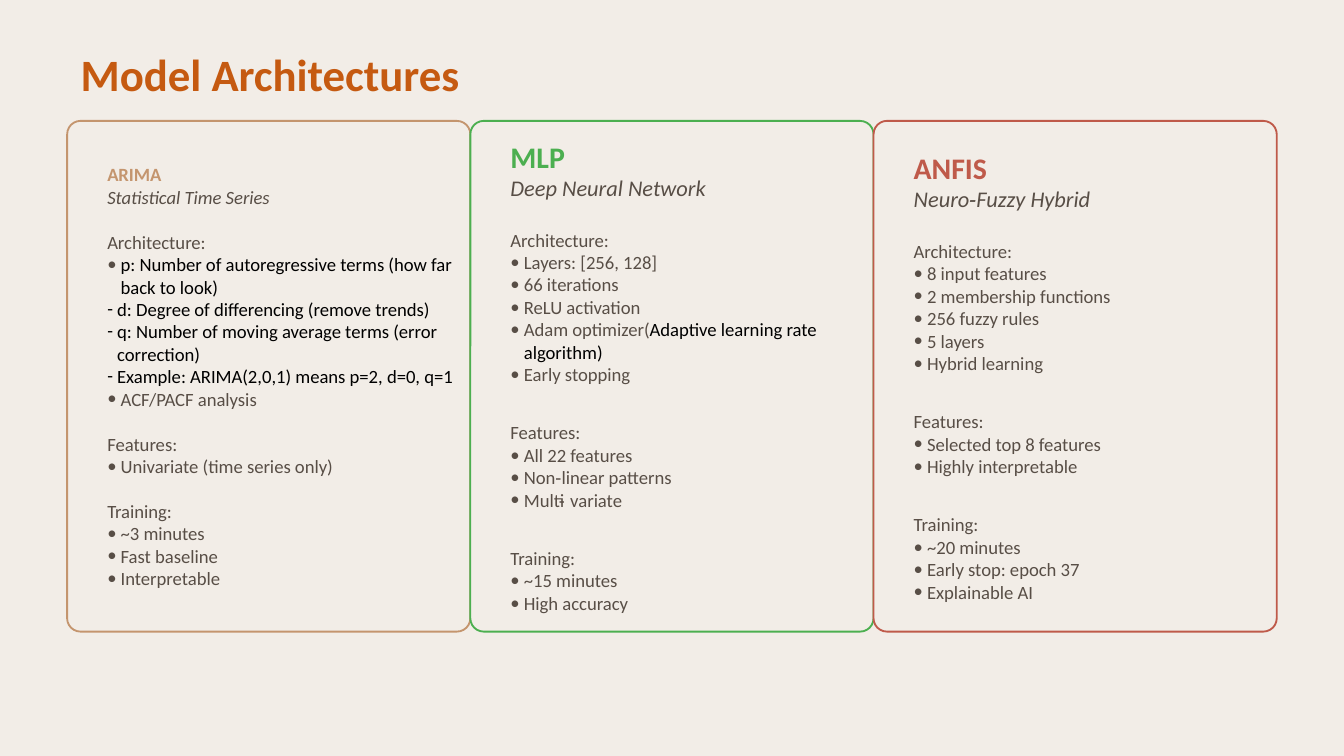
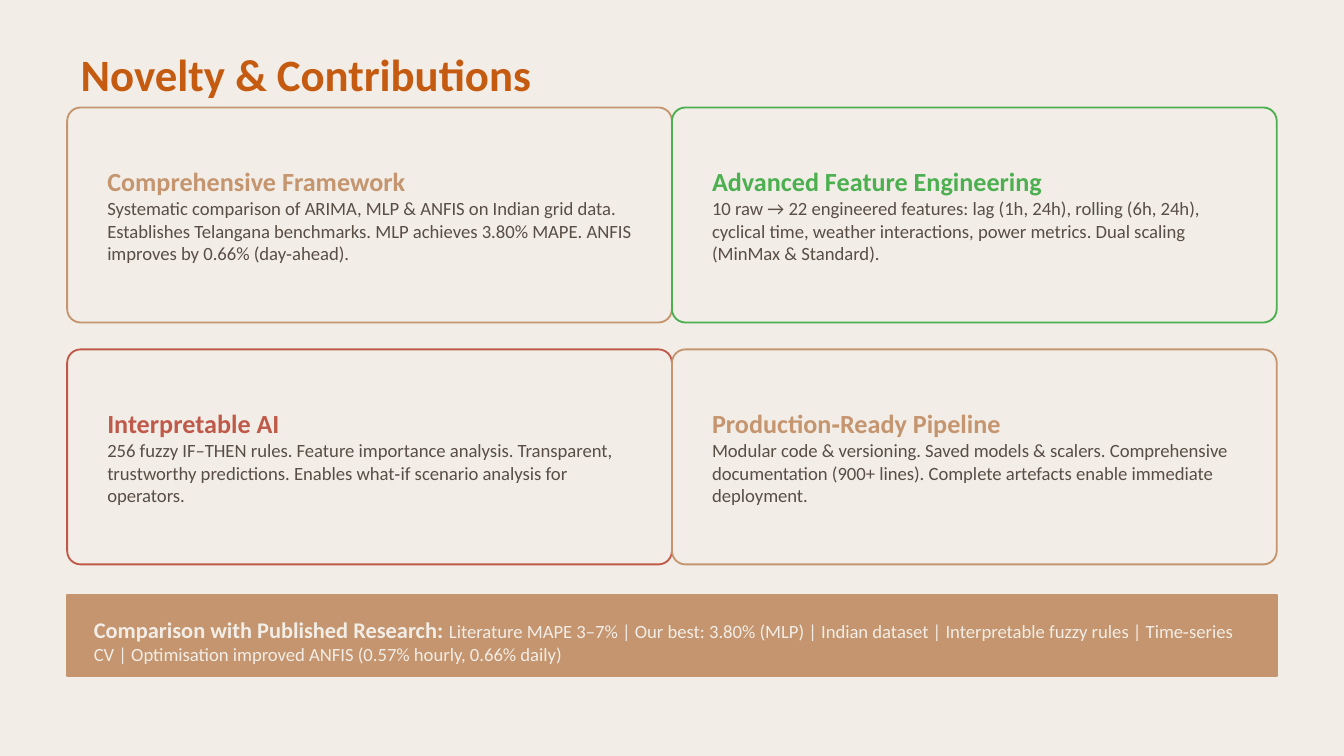
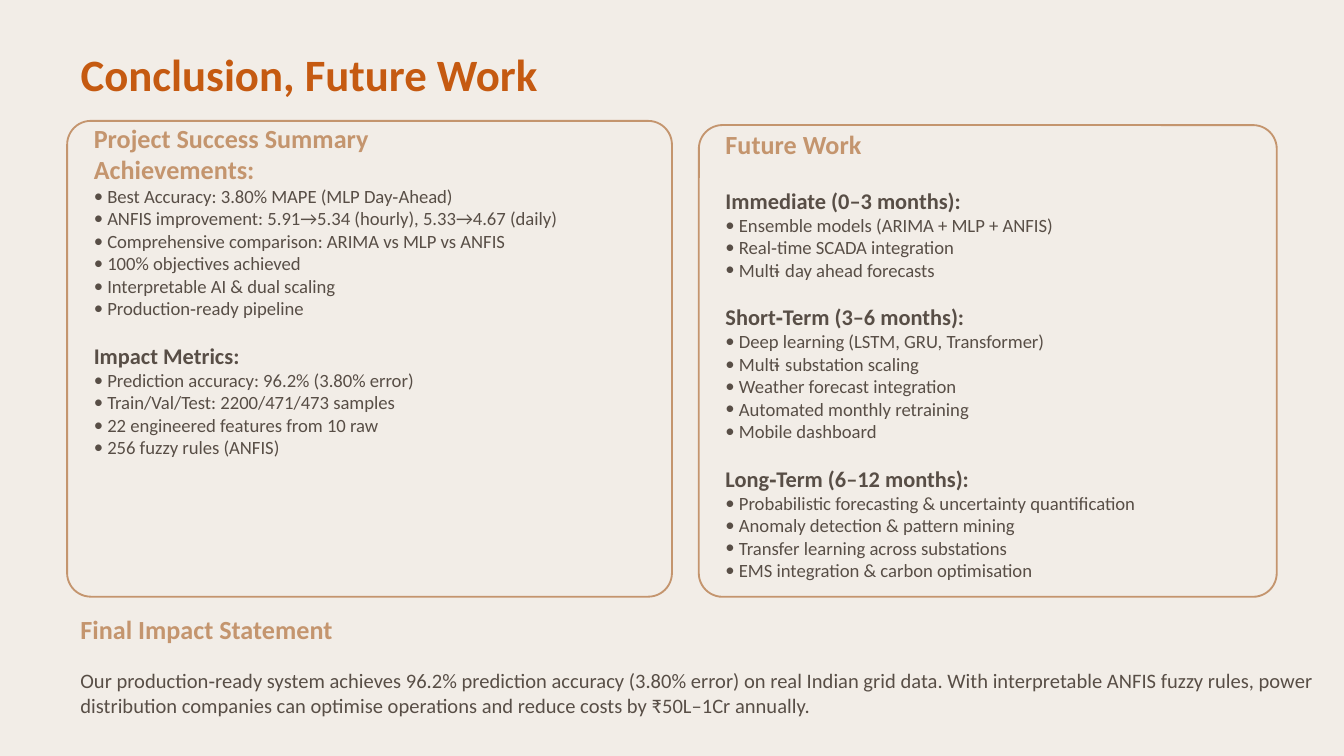
from lxml.etree import SubElement
from pptx import Presentation
from pptx.dml.color import RGBColor
from pptx.enum.shapes import MSO_SHAPE
from pptx.enum.text import MSO_ANCHOR, MSO_AUTO_SIZE, PP_ALIGN
from pptx.oxml.ns import qn
from pptx.util import Pt

# Shared style
PAPER = RGBColor(0xF2, 0xED, 0xE7)
RUST = RGBColor(0xC5, 0x5A, 0x11)
TAN = RGBColor(0xC4, 0x95, 0x6E)
GREEN = RGBColor(0x4C, 0xAF, 0x50)
RED = RGBColor(0xBF, 0x5A, 0x4A)
INK = RGBColor(0x58, 0x4E, 0x46)
BLACK = RGBColor(0, 0, 0)
FONT = "Calibri"
MARKS = {"•": (7.2, INK), "-": (5.3, BLACK)}  # hanging indent, colour
LEFT = 36


def bullet(para, mark):
    indent, color = MARKS[mark]
    props = para._p.get_or_add_pPr()
    props.set("marL", str(Pt(indent)))
    props.set("indent", str(-Pt(indent)))
    tint = SubElement(props, qn("a:buClr"))
    SubElement(tint, qn("a:srgbClr"), val=str(color))
    SubElement(props, qn("a:buFont"), typeface=FONT)
    SubElement(props, qn("a:buChar"), char=mark)


def put(frame, text, size=10, color=INK, bold=False, italic=False,
        gap=0, mark="", join=False):
    """Add a paragraph, or with join a run to the last paragraph."""
    para = frame.paragraphs[-1]
    if para.runs and not join:
        para = frame.add_paragraph()
    if not join:
        para.alignment = PP_ALIGN.LEFT
        if mark:
            bullet(para, mark)
        if gap:
            para.space_before = Pt(gap)
    run = para.add_run()
    run.text = text
    font = run.font
    font.name, font.size, font.color.rgb = FONT, Pt(size), color
    font.bold, font.italic = bold, italic


def line(text, **form):
    return text, form


def head(text, size=14, color=TAN, **form):
    return line(text, size=size, color=color, bold=True, **form)


def points(*texts):
    return [line(text, mark="•") for text in texts]


def part(title, *texts, **form):
    return [line(title, **form), *points(*texts)]


class Deck:
    def __init__(self):
        self.show = Presentation()
        self.show.slide_width, self.show.slide_height = Pt(720), Pt(405)
        fill = self.show.slide_master.background.fill
        fill.solid()
        fill.fore_color.rgb = PAPER
        self.slide = None

    def page(self, title):
        self.slide = self.show.slides.add_slide(self.show.slide_layouts[5])
        shape = self.slide.shapes.title
        shape.left, shape.top = Pt(LEFT), Pt(21.6)
        shape.width, shape.height = Pt(648), Pt(36)
        self.fill(shape, [head(title, 24, RUST)])

    def fill(self, shape, lines):
        frame = shape.text_frame
        frame.word_wrap = True
        frame.auto_size = MSO_AUTO_SIZE.NONE
        frame.vertical_anchor = MSO_ANCHOR.MIDDLE
        for text, form in lines:
            put(frame, text, **form)

    def text(self, x, y, w, h, lines):
        box = self.slide.shapes.add_textbox(Pt(x), Pt(y), Pt(w), Pt(h))
        self.fill(box, lines)

    def panel(self, x, y, w, h, edge, fill=PAPER, round=7.2):
        kind = MSO_SHAPE.ROUNDED_RECTANGLE if round else MSO_SHAPE.RECTANGLE
        shape = self.slide.shapes.add_shape(kind, Pt(x), Pt(y), Pt(w), Pt(h))
        if round:
            shape.adjustments[0] = round / min(w, h)
        shape.shadow.inherit = False
        shape.fill.solid()
        shape.fill.fore_color.rgb = fill
        shape.line.color.rgb = edge
        shape.line.width = Pt(1)


def models(deck):
    deck.page("Model Architectures")
    # name, kind, colour, name size, kind size, gaps, text width, body
    cards = [
        ("ARIMA", "Statistical Time Series", TAN, 10, 10, 12, 12, 201.6, [
            line("p: Number of autoregressive terms (how far back to look)",
                 color=BLACK, mark="•"),
            *[line(text, color=BLACK, mark="-") for text in (
                "d: Degree of differencing (remove trends)",
                "q: Number of moving average terms (error correction)",
                "Example: ARIMA(2,0,1) means p=2, d=0, q=1")],
            *points("ACF/PACF analysis")],
         ["Univariate (time series only)"],
         ["~3 minutes", "Fast baseline", "Interpretable"]),
        ("MLP", "Deep Neural Network", GREEN, 16, 12, 14.6, 19.2, 187.2, [
            *points("Layers: [256, 128]", "66 iterations",
                    "ReLU activation", "Adam optimizer("),
            line("Adaptive learning rate algorithm)", color=BLACK, join=True),
            *points("Early stopping")],
         ["All 22 features", "Non‑linear patterns", "Multi‑variate"],
         ["~15 minutes", "High accuracy"]),
        ("ANFIS", "Neuro‑Fuzzy Hybrid", RED, 16, 12, 14.6, 19.2, 187.2,
         points("8 input features", "2 membership functions",
                "256 fuzzy rules", "5 layers", "Hybrid learning"),
         ["Selected top 8 features", "Highly interpretable"],
         ["~20 minutes", "Early stop: epoch 37", "Explainable AI"]),
    ]
    for col, card in enumerate(cards):
        name, kind, color, big, mid, first, gap, wide, build, feats, train = card
        x = LEFT + 216 * col
        deck.panel(x, 64.8, 216, 273.6, color)
        deck.text(x + 14.4, 72, wide, 259.2, [
            head(name, big, color),
            line(kind, size=mid, italic=True),
            line("Architecture:", gap=first), *build,
            *part("Features:", *feats, gap=gap),
            *part("Training:", *train, gap=gap)])


def novelty(deck):
    deck.page("Novelty & Contributions")
    cards = [
        ("Comprehensive Framework", TAN,
         "Systematic comparison of ARIMA, MLP & ANFIS on Indian grid data. "
         "Establishes Telangana benchmarks. MLP achieves 3.80% MAPE. "
         "ANFIS improves by 0.66% (day‑ahead)."),
        ("Advanced Feature Engineering", GREEN,
         "10 raw → 22 engineered features: lag (1h, 24h), rolling (6h, 24h), "
         "cyclical time, weather interactions, power metrics. "
         "Dual scaling (MinMax & Standard)."),
        ("Interpretable AI", RED,
         "256 fuzzy IF–THEN rules. Feature importance analysis. Transparent, "
         "trustworthy predictions. Enables what‑if scenario analysis for "
         "operators."),
        ("Production‑Ready Pipeline", TAN,
         "Modular code & versioning. Saved models & scalers. Comprehensive "
         "documentation (900+ lines). Complete artefacts enable immediate "
         "deployment."),
    ]
    for spot, (name, color, body) in enumerate(cards):
        row, col = divmod(spot, 2)
        x, y = LEFT + 324 * col, 57.6 + 129.6 * row
        deck.panel(x, y, 324, 115.2, color)
        deck.text(x + 14.4, y + 7.2, 295.2, 100.8,
                  [head(name, color=color), line(body)])

    # Comparison band
    deck.panel(LEFT, 319, 648, 43.2, TAN, fill=TAN, round=0)
    deck.text(43.2, 321.8, 633.6, 43.2, [
        head("Comparison with Published Research: ", 12, PAPER),
        line("Literature MAPE 3–7% | Our best: 3.80% (MLP) | Indian dataset | "
             "Interpretable fuzzy rules | Time‑series CV | Optimisation "
             "improved ANFIS (0.57% hourly, 0.66% daily)",
             color=PAPER, join=True)])


def close(deck):
    deck.page("Conclusion, Future Work")
    # Summary
    deck.panel(LEFT, 64.8, 324, 254.9, TAN, round=12.7)
    deck.text(43.2, 90.7, 309.6, 129.6, [
        head("Project Success Summary"),
        head("Achievements:"),
        *points("Best Accuracy: 3.80% MAPE (MLP Day‑Ahead)",
                "ANFIS improvement: 5.91→5.34 (hourly), 5.33→4.67 (daily)",
                "Comprehensive comparison: ARIMA vs MLP vs ANFIS",
                "100% objectives achieved",
                "Interpretable AI & dual scaling",
                "Production‑ready pipeline"),
        *part("Impact Metrics:",
              "Prediction accuracy: 96.2% (3.80% error)",
              "Train/Val/Test: 2200/471/473 samples",
              "22 engineered features from 10 raw",
              "256 fuzzy rules (ANFIS)", size=12, bold=True, gap=12)])

    # Future work
    deck.panel(374.4, 67, 309.6, 252.7, TAN, round=12.7)
    deck.text(381.6, 125.3, 295.2, 129.6, [
        head("Future Work"),
        *part("Immediate (0–3 months):",
              "Ensemble models (ARIMA + MLP + ANFIS)",
              "Real‑time SCADA integration",
              "Multi‑day ahead forecasts", size=12, bold=True, gap=14.6),
        *part("Short‑Term (3–6 months):",
              "Deep learning (LSTM, GRU, Transformer)",
              "Multi‑substation scaling",
              "Weather forecast integration",
              "Automated monthly retraining",
              "Mobile dashboard", size=12, bold=True, gap=12),
        *part("Long‑Term (6–12 months):",
              "Probabilistic forecasting & uncertainty quantification",
              "Anomaly detection & pattern mining",
              "Transfer learning across substations",
              "EMS integration & carbon optimisation",
              size=12, bold=True, gap=12)])

    # Final statement
    deck.text(LEFT, 324.4, 684, 64, [
        head("Final Impact Statement"),
        line("Our production‑ready system achieves 96.2% prediction accuracy "
             "(3.80% error) on real Indian grid data. With interpretable "
             "ANFIS fuzzy rules, power distribution companies can optimise "
             "operations and reduce costs by ₹50L–1Cr annually.",
             size=11, gap=12.5)])


def main():
    deck = Deck()
    models(deck)
    novelty(deck)
    close(deck)
    deck.show.save("out.pptx")


if __name__ == "__main__":
    main()
